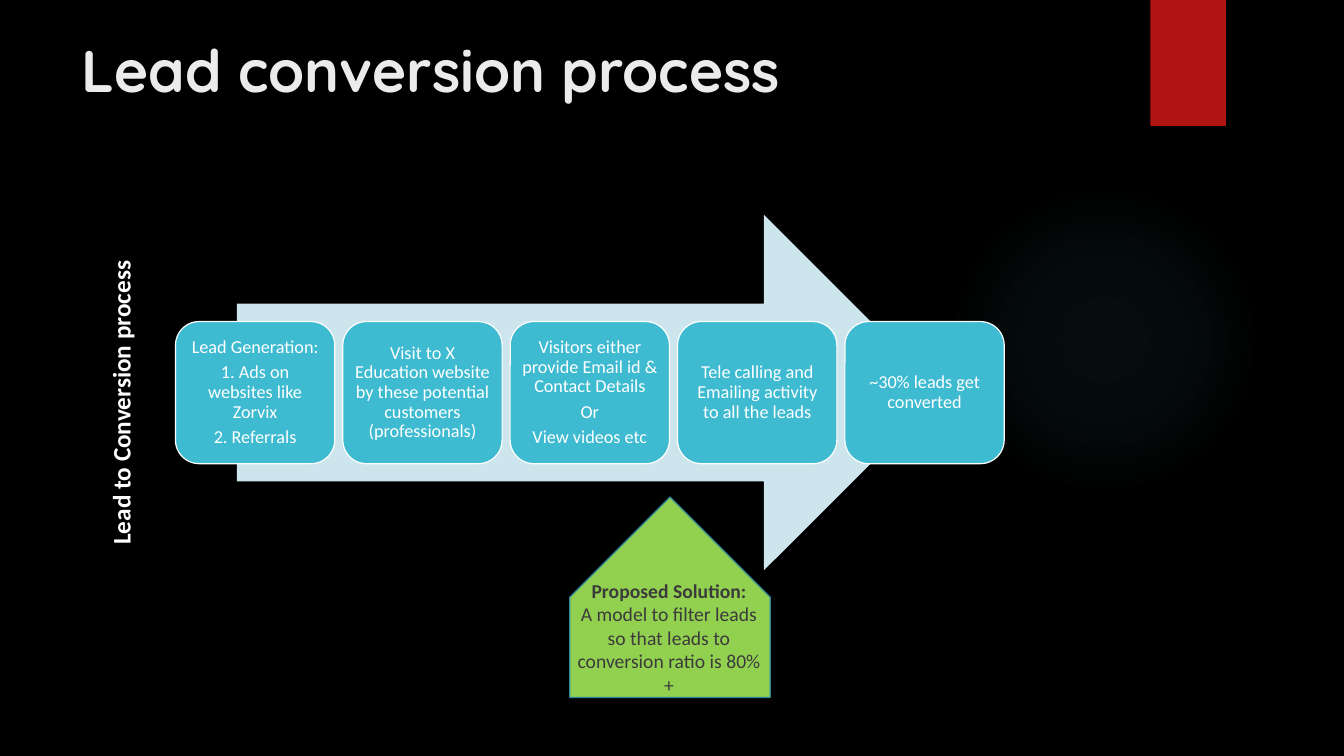
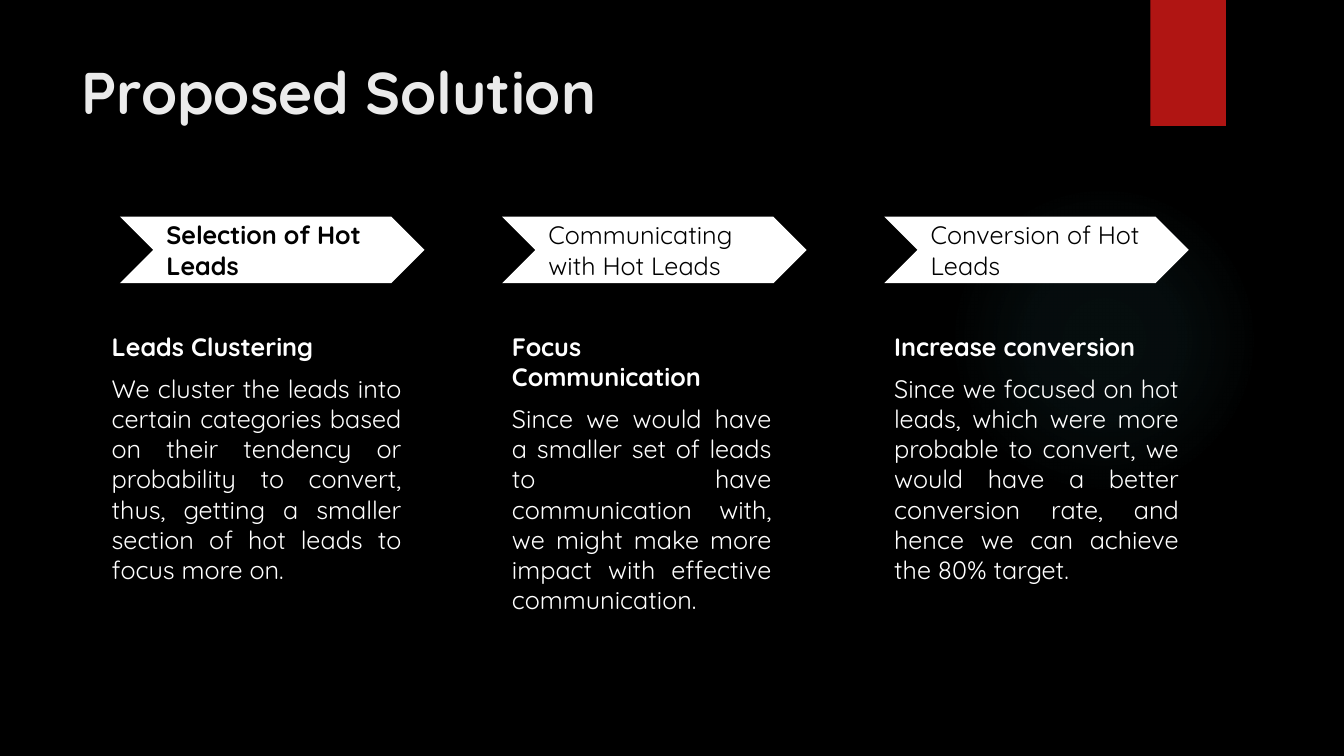
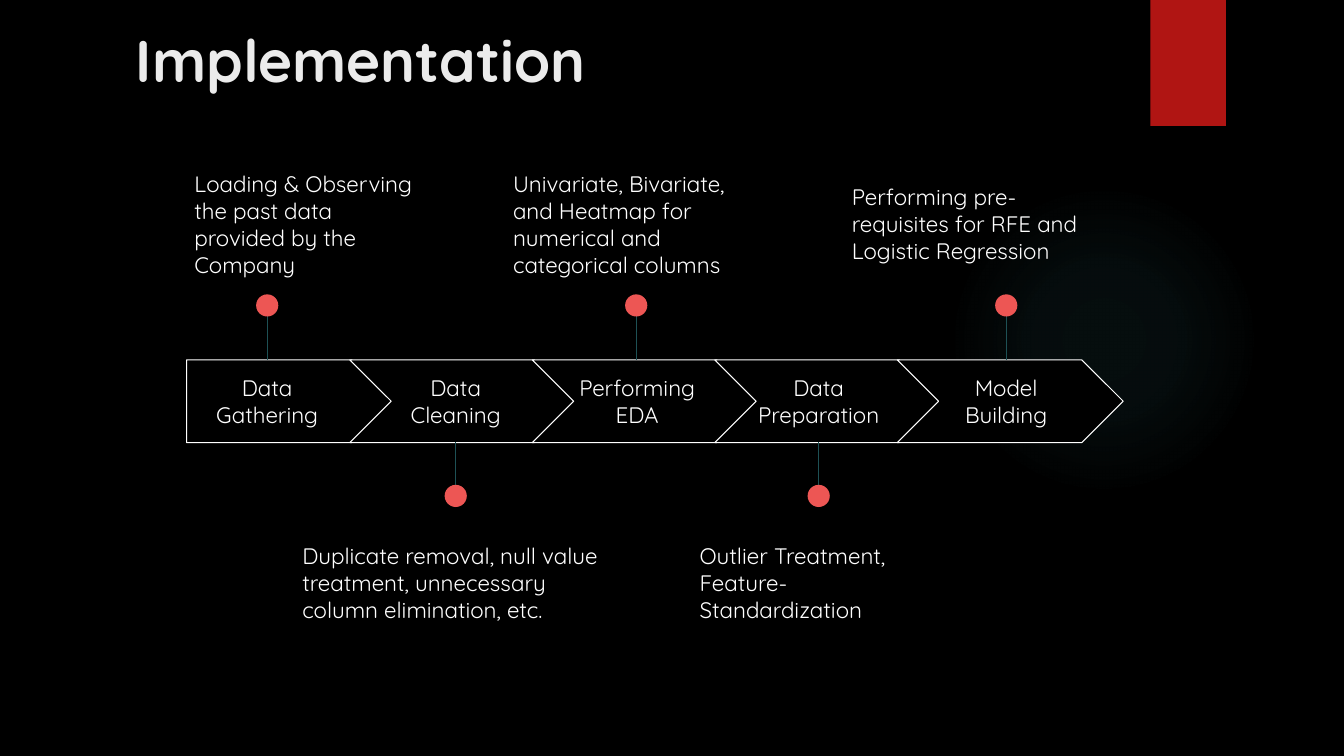
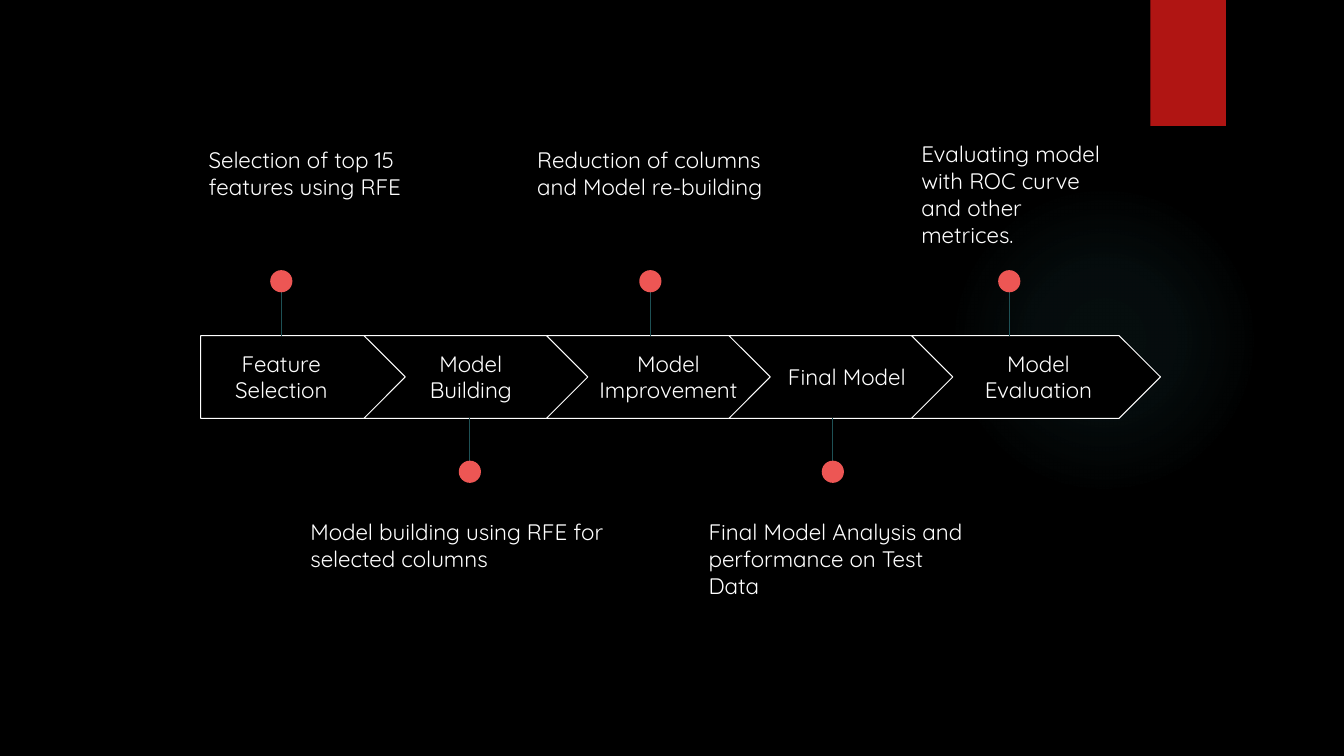
from pptx import Presentation
from pptx.dml.color import RGBColor
from pptx.enum.shapes import MSO_CONNECTOR, MSO_SHAPE
from pptx.enum.text import MSO_ANCHOR, PP_ALIGN
from pptx.oxml import parse_xml
from pptx.oxml.ns import nsdecls
from pptx.util import Inches, Pt

COLORS = {
    "black": "000000", "white": "FFFFFF", "title": "EBEBEB", "band": "B01513",
    "glow": "50B9C1", "arrow": "CDE6ED", "step": "3EBAD1", "green": "92D050",
    "green_line": "2E8799", "dark_text": "3B3B3B", "pin": "ED5654", "stem": "1E5155",
}
RGB = {name: RGBColor.from_string(value) for name, value in COLORS.items()}
TITLE_FONT, PROCESS_FONT = "Quicksand", "Calibri"


def add_box(s, kind, x, y, w, h, fill=None, line=None, weight=0.75):
    """Add a preset shape, or a text box when kind is None; lengths in inches."""
    box = [Inches(v) for v in (x, y, w, h)]
    if kind is None:
        return s.shapes.add_textbox(*box)
    sp = s.shapes.add_shape(kind, *box)
    sp.shadow.inherit = False
    if fill:
        sp.fill.solid()
        sp.fill.fore_color.rgb = RGB[fill]
    if line:
        sp.line.color.rgb = RGB[line]
        sp.line.width = Pt(weight)
    else:
        sp.line.fill.background()
    return sp


def write(sp, lines, size, color="white", font=TITLE_FONT, bold=False,
          align=PP_ALIGN.LEFT, anchor=MSO_ANCHOR.TOP, inset=(0.1, 0.1)):
    """Put one paragraph per line into the shape and return the paragraphs."""
    tf = sp.text_frame
    tf.word_wrap = True
    tf.vertical_anchor = anchor
    tf.margin_left = tf.margin_right = Inches(inset[0])
    tf.margin_top = tf.margin_bottom = Inches(inset[1])
    tf.text = "\n".join(lines)
    for p in tf.paragraphs:
        p.alignment = align
        p.font.size, p.font.name, p.font.bold = Pt(size), font, bold
        p.font.color.rgb = RGB[color]
    return tf.paragraphs


prs = Presentation()
prs.slide_width, prs.slide_height = Inches(13.33), Inches(7.5)
background = prs.slide_master.background.fill
background.solid()
background.fore_color.rgb = RGB["black"]

# Shared look: glow, red band and title
stops = "".join(
    f'<a:gs pos="{pos}000"><a:srgbClr val="{COLORS["glow"]}">'
    f'<a:alpha val="{alpha}000"/></a:srgbClr></a:gs>'
    for pos, alpha in ((0, 7), (36, 6), (69, 0)))
glow_xml = (f'<a:gradFill {nsdecls("a")}><a:gsLst>{stops}</a:gsLst><a:path path="circle">'
            '<a:fillToRect l="50000" t="50000" r="50000" b="50000"/></a:path></a:gradFill>')
shadow_xml = (f'<a:outerShdw {nsdecls("a")} blurRad="{Pt(3)}" dist="{Pt(2)}" dir="5400000" '
              f'rotWithShape="0"><a:srgbClr val="{COLORS["black"]}"><a:alpha val="45000"/>'
              '</a:srgbClr></a:outerShdw>')

slides = []
for title, x, y in (("Lead conversion process", 0.71, 0.29), ("Proposed Solution", 0.71, 0.5),
                    ("Implementation", 1.25, 0.19), (None, 0, 0)):
    s = prs.slides.add_slide(prs.slide_layouts[6])
    slides.append(s)
    glow = add_box(s, MSO_SHAPE.OVAL, 9.41, 1.83, 3.08, 3.08, "glow")
    sp_pr = glow._element.spPr
    sp_pr.replace(sp_pr.find("{*}solidFill"), parse_xml(glow_xml))
    band = add_box(s, MSO_SHAPE.RECTANGLE, 11.41, 0, 0.75, 1.25, "band")
    band._element.spPr.find("{*}effectLst").append(parse_xml(shadow_xml))
    if title:
        write(add_box(s, None, x, y, 10.29, 0.86), [title], 42, "title", bold=True,
              inset=(0.1, 0.05))

# Lead conversion process
s = slides[0]
add_box(s, MSO_SHAPE.RIGHT_ARROW, 2.35, 2.13, 6.99, 3.53, "arrow")
steps = (
    ("Lead Generation:", "1. Ads on websites like Zorvix", "2. Referrals"),
    ("Visit to X Education website by these potential customers (professionals)",),
    ("Visitors either provide Email id & Contact Details", "Or", "View videos etc"),
    ("Tele calling and Emailing activity to all the leads",),
    ("~30% leads get converted",),
)
for i, lines in enumerate(steps):
    sp = add_box(s, MSO_SHAPE.ROUNDED_RECTANGLE, 1.74 + 1.66 * i, 3.19, 1.58, 1.41,
                 "step", "white", 0.85)
    paragraphs = write(sp, lines, 13, font=PROCESS_FONT, align=PP_ALIGN.CENTER,
                       anchor=MSO_ANCHOR.MIDDLE, inset=(0.05, 0.05))
    for j, p in enumerate(paragraphs):
        p.line_spacing = 0.9
        p.space_before = Pt(4 if j else 0)

side_label = add_box(s, None, -0.41, 3.81, 3.2, 0.37)
side_label.rotation = 270
write(side_label, ["Lead to Conversion process"], 18, font=PROCESS_FONT, bold=True,
      align=PP_ALIGN.CENTER, inset=(0.07, 0.04))

callout = add_box(s, MSO_SHAPE.PENTAGON, 5.65, 4.93, 1.99, 1.99, "green", "green_line", 0.85)
callout.rotation = 270
paragraphs = write(
    add_box(s, None, 5.64, 5.58, 1.99, 1.49),
    ["Proposed Solution:", "A model to filter leads so that leads to conversion ratio is 80%+"],
    14, "dark_text", PROCESS_FONT, align=PP_ALIGN.CENTER, anchor=MSO_ANCHOR.MIDDLE,
    inset=(0.07, 0.04))
paragraphs[0].font.bold = True

# Proposed solution
s = slides[1]
phases = (
    ("Selection of Hot Leads", True, 1.01, 3.07, "Leads Clustering",
     "We cluster the leads into certain categories based on their tendency or probability "
     "to convert, thus, getting a smaller section of hot leads to focus more on."),
    ("Communicating with Hot Leads", False, 4.98, 2.77, "Focus Communication",
     "Since we would have a smaller set of leads to have communication with, we might make "
     "more impact with effective communication."),
    ("Conversion of Hot Leads", False, 8.77, 3.02, "Increase conversion",
     "Since we focused on hot leads, which were more probable to convert, we would have a "
     "better conversion rate, and hence we can achieve the 80% target."),
)
for i, (phase, bold, x, w, heading, body) in enumerate(phases):
    chevron = add_box(s, MSO_SHAPE.CHEVRON, 1.19 + 3.79 * i, 2.15, 3.02, 0.66, "white")
    write(chevron, [phase], 18, "black", bold=bold, anchor=MSO_ANCHOR.MIDDLE,
          inset=(0.13, 0.13))
    head, text = write(add_box(s, None, x, 3.24, w, 3.24), [heading, body], 18,
                       inset=(0.1, 0.05))
    head.font.bold = True
    text.alignment = PP_ALIGN.JUSTIFY
    text.space_before = text.space_after = Pt(8)

# Implementation timelines: stage, label centre, label width, pin x, note, note left, top, width
timelines = (
    (slides[2], 1.85, 3.57, 2.24, (
        ("Data Gathering", 2.65, 1.44, 2.65,
         "Loading & Observing the past data provided by the Company", 1.83, 1.59, 2.45),
        ("Data Cleaning", 4.52, 1.44, 4.52,
         "Duplicate removal, null value treatment, unnecessary column elimination, etc.",
         2.9, 5.28, 3.2),
        ("Performing EDA", 6.32, 1.44, 6.31,
         "Univariate, Bivariate, and Heatmap for numerical and categorical columns",
         4.99, 1.59, 2.65),
        ("Data Preparation", 8.12, 1.44, 8.12,
         "Outlier Treatment, Feature-Standardization", 6.84, 5.28, 2.55),
        ("Model Building", 9.98, 1.44, 9.98,
         "Performing pre-requisites for RFE and Logistic Regression", 8.35, 1.72, 2.55),
    )),
    (slides[3], 1.99, 3.33, 2.47, (
        ("Feature Selection", 2.79, 1.44, 2.79,
         "Selection of top 15 features using RFE", 1.97, 1.35, 2.45),
        ("Model Building", 4.67, 1.44, 4.66,
         "Model building using RFE for selected columns", 2.98, 5.04, 3.36),
        ("Model Improvement", 6.63, 1.72, 6.45,
         "Reduction of columns and Model re-building", 5.23, 1.35, 2.45),
        ("Final Model", 8.4, 1.44, 8.26,
         "Final Model Analysis and performance on Test Data", 6.93, 5.04, 2.74),
        ("Model Evaluation", 10.3, 1.44, 10.01,
         "Evaluating model with ROC curve and other metrices.", 9.04, 1.29, 2.1),
    )),
)
BAR_H, DOT = 0.82, 0.22
for s, left, top, last_w, stages in timelines:
    for i, (stage, label_x, label_w, pin_x, note, note_x, note_y, note_w) in enumerate(stages):
        if i == 0:
            kind, x, w = MSO_SHAPE.PENTAGON, left, 2.05
        else:
            kind, x = MSO_SHAPE.CHEVRON, left + 1.62 + 1.81 * (i - 1)
            w = last_w if i == len(stages) - 1 else 2.24
        add_box(s, kind, x, top, w, BAR_H, "black", "white")
        write(add_box(s, None, label_x - label_w / 2, top + 0.15, label_w, 0.51), [stage], 16,
              align=PP_ALIGN.CENTER, anchor=MSO_ANCHOR.MIDDLE)

        # Pins alternate above and below the bar
        if i % 2 == 0:
            bar_y, far_y, dot_y = top, top - 0.6, top - 0.65
        else:
            bar_y, far_y, dot_y = top + BAR_H, top + 1.42, top + 1.24
        stem = s.shapes.add_connector(MSO_CONNECTOR.STRAIGHT, Inches(pin_x), Inches(far_y),
                                      Inches(pin_x), Inches(bar_y))
        stem.line.color.rgb = RGB["stem"]
        stem.line.width = Pt(0.75)
        stem._element.spPr.append(parse_xml(f'<a:effectLst {nsdecls("a")}/>'))
        add_box(s, MSO_SHAPE.OVAL, pin_x - DOT / 2, dot_y, DOT, DOT, "pin")
        write(add_box(s, None, note_x, note_y, note_w, 0.99), [note], 16)

prs.save("out.pptx")
